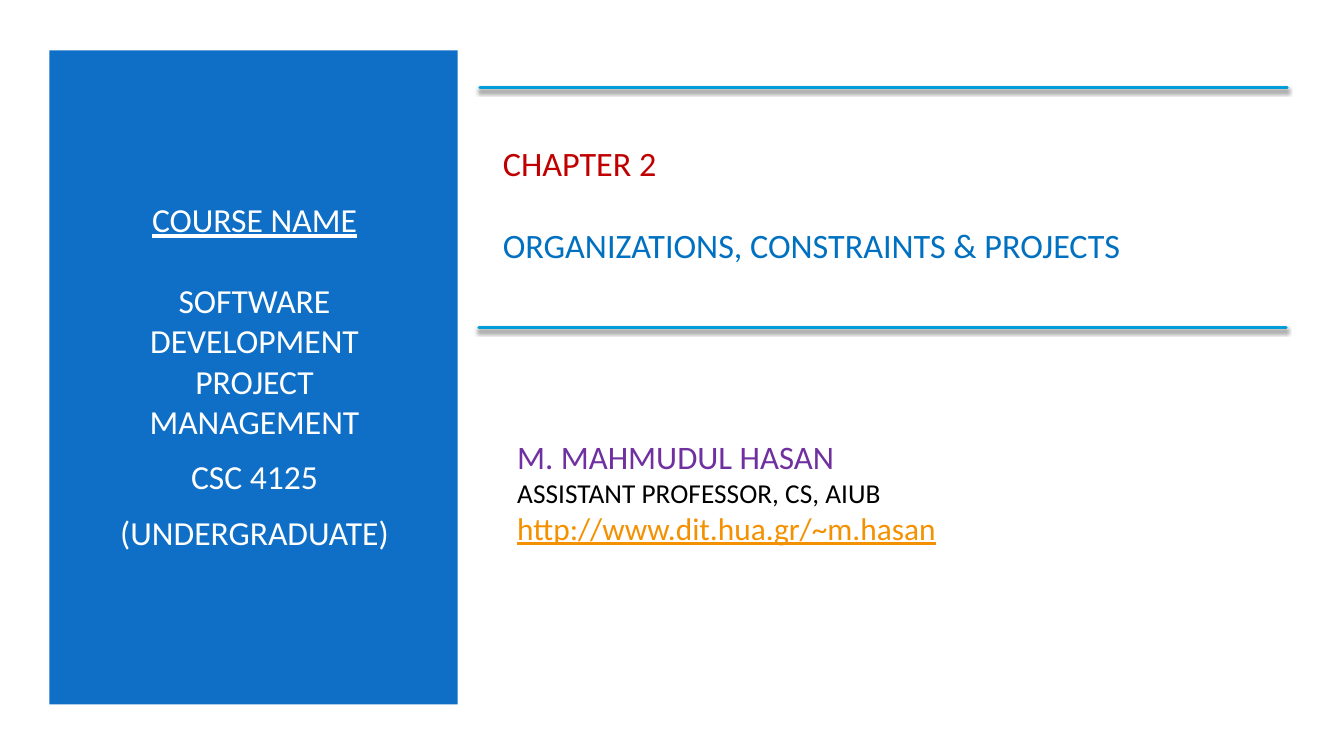
from dataclasses import dataclass

from lxml import etree
from pptx import Presentation
from pptx import util as u
from pptx.dml.color import RGBColor
from pptx.enum import shapes, text
from pptx.oxml import parse_xml
from pptx.oxml.ns import nsdecls, qn


@dataclass(frozen=True)
class Theme:
    font: str = "Calibri"
    white: str = "FFFFFF"
    black: str = "000000"
    panel: str = "0F6FC6"
    rule: str = "009DD9"
    chapter: str = "C00000"
    topic: str = "0070C0"
    author: str = "7030A0"
    link: str = "F49100"
    course_size: float = 24
    heading_size: float = 24.4
    author_size: float = 23.4
    role_size: float = 19.5
    link_size: float = 22.4
    rule_width: float = 2


@dataclass(frozen=True)
class Line:
    """One paragraph with its look; spacing is in points."""
    wording: str
    size: float
    color: str
    before: float = 0
    after: float = 0
    underline: bool = False


class Deck:
    """Places elements on a grid of 128 columns by 72 rows."""
    COLUMNS, ROWS = 128, 72

    def __init__(self, theme):
        self.theme = theme
        self.presentation = Presentation()
        self.presentation.slide_width = u.Inches(13.33)
        self.presentation.slide_height = u.Inches(7.5)
        two_content = self.presentation.slide_layouts[3]
        self.slide = self.presentation.slides.add_slide(two_content)
        background = self.slide.background.fill
        background.solid()
        background.fore_color.rgb = RGBColor.from_string(theme.white)

    def x(self, columns):
        return round(self.presentation.slide_width * columns / self.COLUMNS)

    def y(self, rows):
        return round(self.presentation.slide_height * rows / self.ROWS)

    def panel(self, left, top, width, height):
        """Add a filled rectangle behind everything else."""
        block = self.slide.shapes.add_shape(
            shapes.MSO_SHAPE.RECTANGLE,
            self.x(left), self.y(top), self.x(width), self.y(height))
        block.shadow.inherit = False
        block.fill.solid()
        block.fill.fore_color.rgb = RGBColor.from_string(self.theme.panel)
        block.line.fill.background()
        self.slide.shapes[0].element.addprevious(block.element)

    def rule(self, left, right, row):
        """Add a horizontal line with round ends and a soft shadow."""
        rule = self.slide.shapes.add_connector(
            shapes.MSO_CONNECTOR.STRAIGHT,
            self.x(left), self.y(row), self.x(right), self.y(row))
        rule.line.color.rgb = RGBColor.from_string(self.theme.rule)
        rule.line.width = u.Pt(self.theme.rule_width)
        properties = rule.element.spPr
        properties.find(qn("a:ln")).set("cap", "rnd")
        properties.append(parse_xml(
            f'<a:effectLst {nsdecls("a")}>'
            f'<a:outerShdw blurRad="{u.Pt(3)}" dist="{u.Pt(2)}" dir="5400000" rotWithShape="0">'
            f'<a:srgbClr val="{self.theme.black}"><a:alpha val="55000"/></a:srgbClr>'
            '</a:outerShdw></a:effectLst>'))

    def fill_placeholder(self, index, left, top, width, height, lines,
                         align=text.PP_ALIGN.LEFT):
        """Move the placeholder with this index and fill it with lines."""
        holder = self.slide.placeholders[index]
        holder.left, holder.top = self.x(left), self.y(top)
        holder.width, holder.height = self.x(width), self.y(height)
        frame = holder.text_frame
        frame.word_wrap = True
        frame.auto_size = text.MSO_AUTO_SIZE.NONE
        frame.vertical_anchor = text.MSO_ANCHOR.MIDDLE
        for number, line in enumerate(lines):
            paragraph = frame.add_paragraph() if number else frame.paragraphs[0]
            paragraph.text = line.wording
            layout = paragraph._p.get_or_add_pPr()
            layout.set("marL", "0")
            layout.set("indent", "0")
            etree.SubElement(layout, qn("a:buNone"))
            paragraph.alignment = align
            paragraph.space_before = u.Pt(line.before)
            paragraph.space_after = u.Pt(line.after)
            paragraph.font.name = self.theme.font
            paragraph.font.size = u.Pt(line.size)
            paragraph.font.underline = line.underline
            paragraph.font.color.rgb = RGBColor.from_string(line.color)


def main():
    theme = Theme()
    deck = Deck(theme)
    course = theme.course_size, theme.white

    deck.panel(4.7, 4.8, 38.9, 62.3)
    deck.fill_placeholder(0, 46.94, 10.56, 75.4, 17.66, [
        Line("CHAPTER 2", theme.heading_size, theme.chapter),
        Line("ORGANIZATIONS, CONSTRAINTS & PROJECTS", theme.heading_size, theme.topic, before=29.5),
    ])
    deck.fill_placeholder(1, 8.06, 10.56, 32.36, 50.4, [
        Line("COURSE NAME", *course, underline=True),
        Line("SOFTWARE DEVELOPMENT PROJECT MANAGEMENT", *course, before=29, after=6),
        Line("CSC 4125", *course, before=4.8, after=6),
        Line("(UNDERGRADUATE)", *course, before=4.8, after=6),
    ], text.PP_ALIGN.CENTER)
    deck.fill_placeholder(2, 48.3, 39.36, 63.95, 14.98, [
        Line("M. MAHMUDUL HASAN", theme.author_size, theme.author),
        Line("ASSISTANT PROFESSOR, CS, AIUB", theme.role_size, theme.black),
        Line("http://www.dit.hua.gr/~m.hasan", theme.link_size, theme.link, underline=True),
    ])
    deck.rule(45.7, 122.6, 8.35)
    deck.rule(45.6, 122.5, 31.2)
    deck.presentation.save("out.pptx")


if __name__ == "__main__":
    main()
